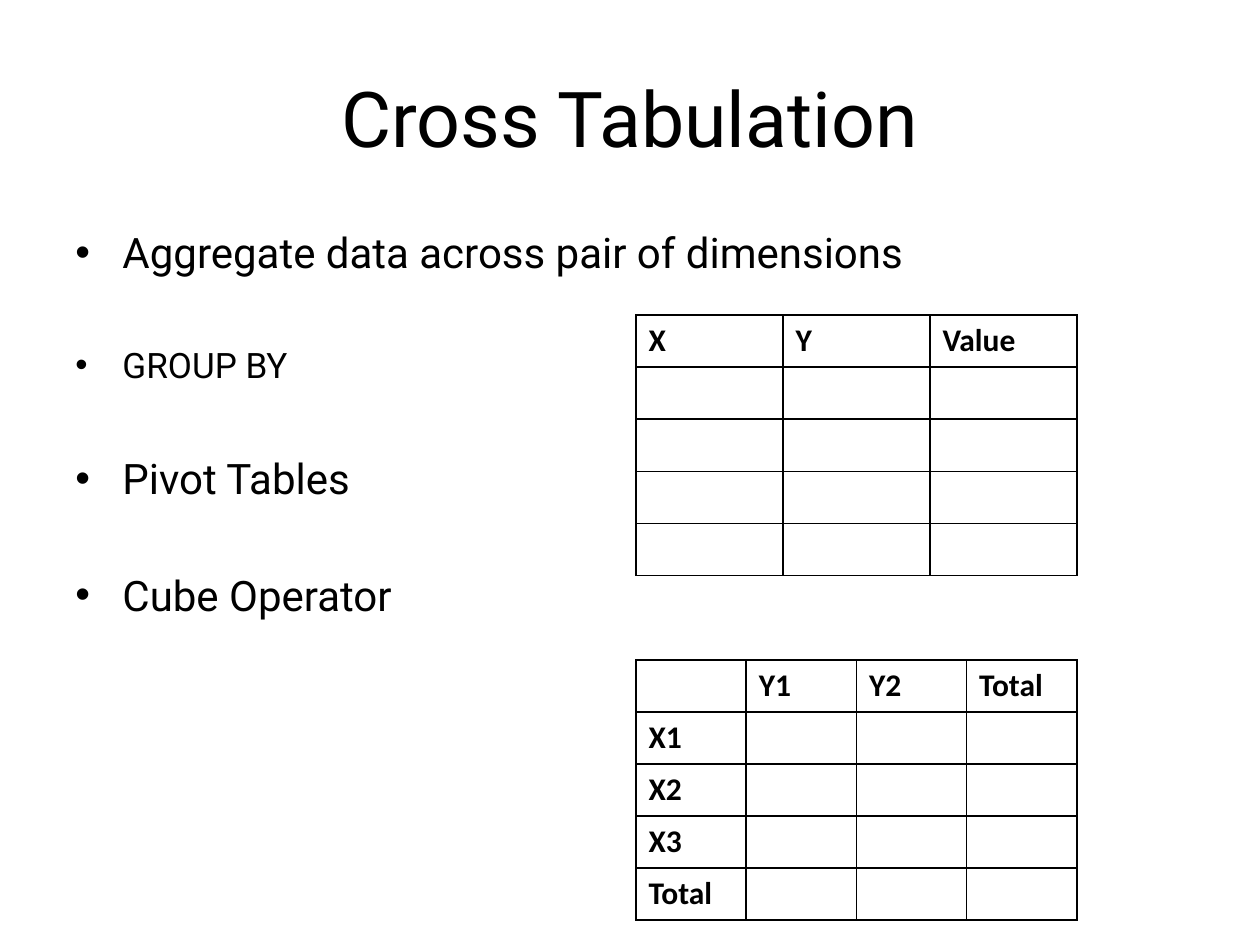
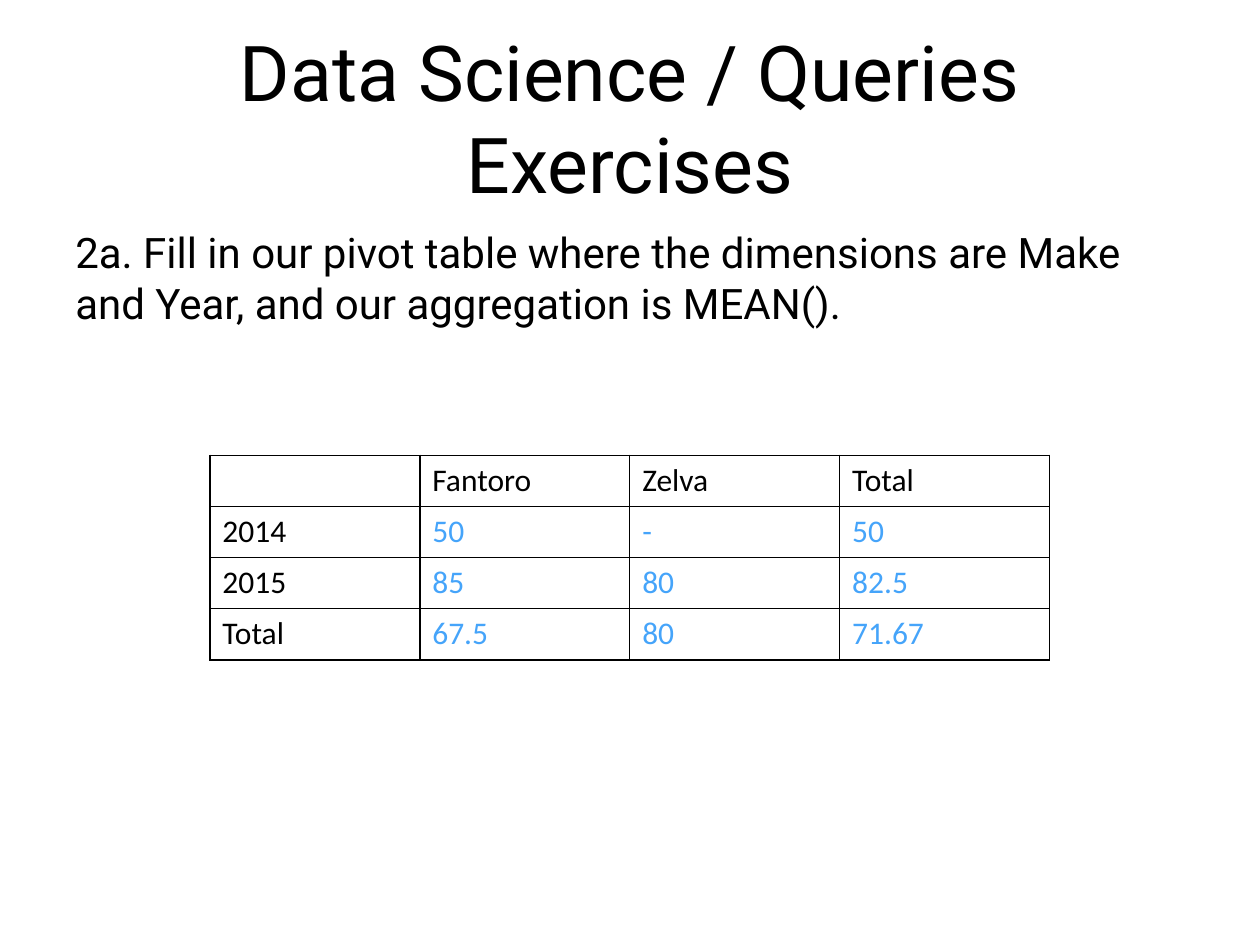
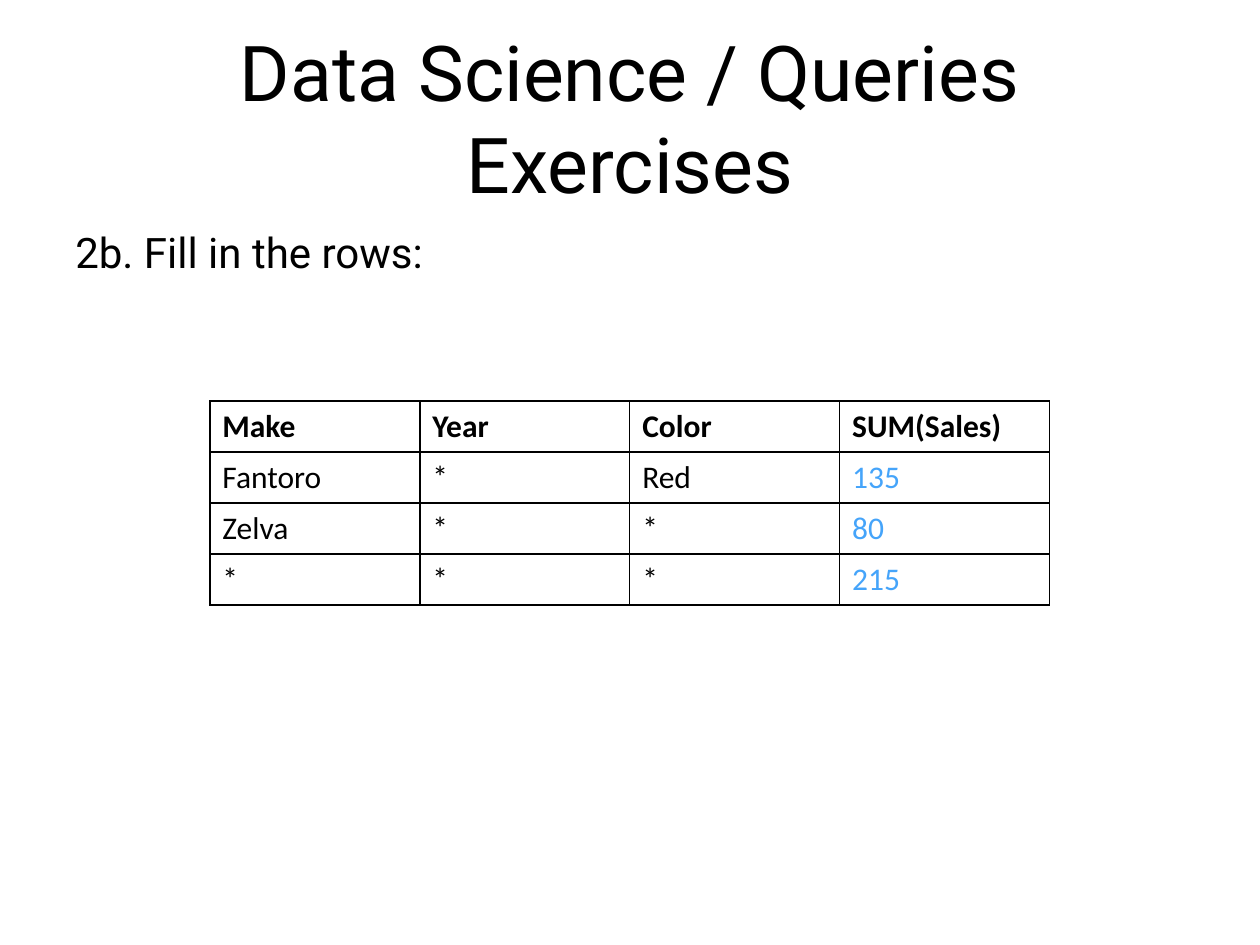
from lxml import etree
from pptx import Presentation
from pptx.dml.color import RGBColor
from pptx.enum.text import MSO_ANCHOR, PP_ALIGN
from pptx.oxml.ns import qn
from pptx.util import Cm, Pt

BLACK = RGBColor(0x00, 0x00, 0x00)
WHITE = RGBColor(0xFF, 0xFF, 0xFF)
ANSWER_BLUE = RGBColor(0x45, 0xA4, 0xFA)
TEXT_FONT = "Roboto"
TABLE_FONT = "Calibri"
LEFT, WIDTH = Cm(1.27), Cm(22.86)
EXERCISE_TITLE = "Data Science / Queries Exercises"


class LectureDeck:
    def __init__(self):
        self.deck = Presentation()
        self.deck.slide_width, self.deck.slide_height = Cm(25.4), Cm(19.05)
        self.slide = None

    def add_slide(self, title):
        layout = self.deck.slide_layouts.get_by_name("Title Only")
        self.slide = self.deck.slides.add_slide(layout)
        self.slide.background.fill.solid()
        self.slide.background.fill.fore_color.rgb = WHITE
        box = self.slide.shapes.title
        box.left, box.top, box.width, box.height = LEFT, Cm(0.76), WIDTH, Cm(3.18)
        box.text_frame.word_wrap = True
        box.text_frame.vertical_anchor = MSO_ANCHOR.MIDDLE
        para = box.text_frame.paragraphs[0]
        para.alignment = PP_ALIGN.CENTER
        self.add_span(para, title, 44)

    def add_span(self, para, text, size, font=TEXT_FONT, color=BLACK, bold=False):
        span = para.add_run()
        span.text = text
        span.font.name = font
        span.font.size = Pt(size)
        span.font.bold = bold
        span.font.color.rgb = color

    def add_body(self, lines, bulleted=False):
        """Write (text, size) lines in the body area, spread apart."""
        box = self.slide.shapes.add_textbox(LEFT, Cm(4.45), WIDTH, Cm(14.1))
        frame = box.text_frame
        frame.word_wrap = True
        for index, (text, size) in enumerate(lines):
            para = frame.add_paragraph() if index else frame.paragraphs[0]
            para.space_before = Pt(38 if index else 0)
            self.add_span(para, text, size)
            if bulleted:
                self.set_bullet(para)

    def set_bullet(self, para):
        properties = para._p.get_or_add_pPr()
        properties.set("marL", str(Cm(0.95)))
        properties.set("indent", str(-Cm(0.95)))
        etree.SubElement(properties, qn("a:buFont"), typeface="Arial")
        etree.SubElement(properties, qn("a:buChar"), char="•")

    def add_grid(self, rows, left, top, width, row_height, bold_rows=0, answer_column=None):
        """Draw a ruled table; below its header, answers start at answer_column."""
        columns = len(rows[0])
        frame = self.slide.shapes.add_table(
            len(rows), columns, left, top, width, row_height * len(rows))
        table = frame.table
        table.first_row = table.horz_banding = False
        for row_index, row in enumerate(rows):
            table.rows[row_index].height = row_height
            for column_index, text in enumerate(row):
                cell = table.cell(row_index, column_index)
                self.set_borders(cell)
                cell.fill.background()
                if text:
                    is_answer = (answer_column is not None and row_index > 0
                                 and column_index >= answer_column)
                    self.add_span(cell.text_frame.paragraphs[0], text, 18, TABLE_FONT,
                                  ANSWER_BLUE if is_answer else BLACK,
                                  row_index < bold_rows)

    def set_borders(self, cell):
        properties = cell._tc.get_or_add_tcPr()
        for side in ("a:lnL", "a:lnR", "a:lnT", "a:lnB"):
            line = etree.SubElement(properties, qn(side), w=str(Pt(1)))
            fill = etree.SubElement(line, qn("a:solidFill"))
            etree.SubElement(fill, qn("a:srgbClr"), val=str(BLACK))


def add_cross_tabulation(lecture):
    lecture.add_slide("Cross Tabulation")
    lecture.add_body([
        ("Aggregate data across pair of dimensions", 24),
        ("GROUP BY", 20),
        ("Pivot Tables", 24),
        ("Cube Operator", 24),
    ], bulleted=True)
    source_rows = [["X", "Y", "Value"]] + [[""] * 3] * 4
    pivot_rows = [["", "Y1", "Y2", "Total"]]
    pivot_rows += [[name, "", "", ""] for name in ("X1", "X2", "X3", "Total")]
    for rows, top in ((source_rows, Cm(6.35)), (pivot_rows, Cm(13.3))):
        lecture.add_grid(rows, Cm(12.82), top, Cm(8.89), Cm(1.05), bold_rows=len(rows))


def add_exercise(lecture, question, rows, top, **styles):
    lecture.add_slide(EXERCISE_TITLE)
    lecture.add_body([(question, 24)])
    lecture.add_grid(rows, Cm(4.23), top, Cm(16.93), Cm(1.03), **styles)


def main():
    lecture = LectureDeck()
    add_cross_tabulation(lecture)
    add_exercise(
        lecture,
        "2a. Fill in our pivot table where the dimensions are Make and Year, "
        "and our aggregation is MEAN().",
        [
            ["", "Fantoro", "Zelva", "Total"],
            ["2014", "50", "-", "50"],
            ["2015", "85", "80", "82.5"],
            ["Total", "67.5", "80", "71.67"],
        ],
        Cm(9.18), answer_column=1)
    add_exercise(
        lecture,
        "2b. Fill in the rows:",
        [
            ["Make", "Year", "Color", "SUM(Sales)"],
            ["Fantoro", "*", "Red", "135"],
            ["Zelva", "*", "*", "80"],
            ["*", "*", "*", "215"],
        ],
        Cm(8.08), bold_rows=1, answer_column=3)
    lecture.deck.save("out.pptx")


if __name__ == "__main__":
    main()
